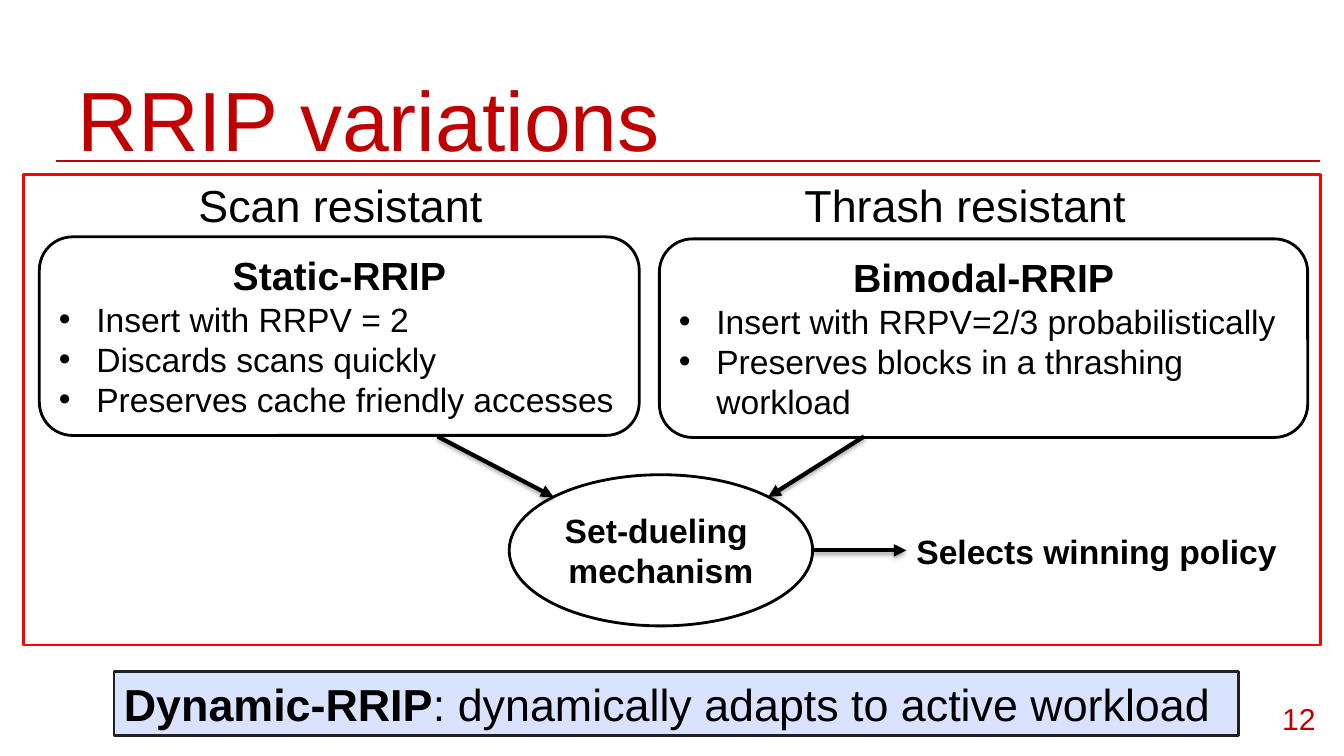
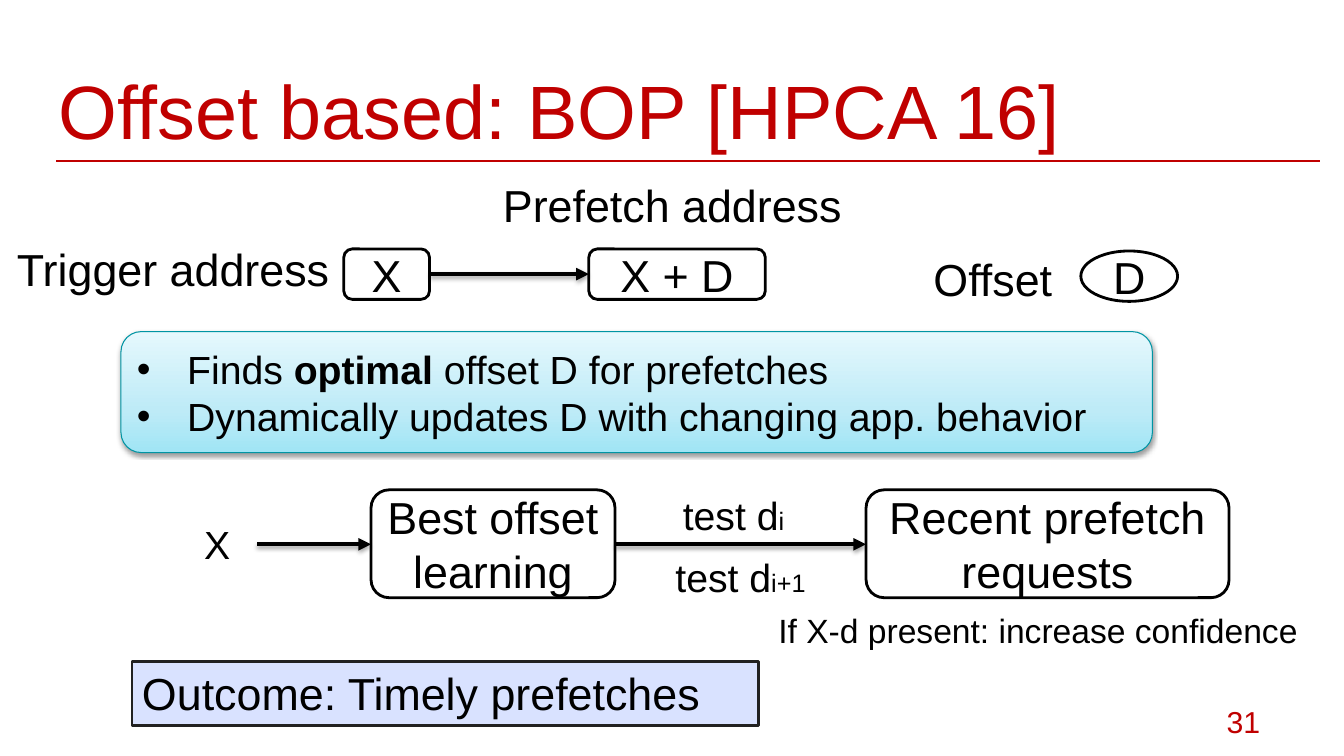
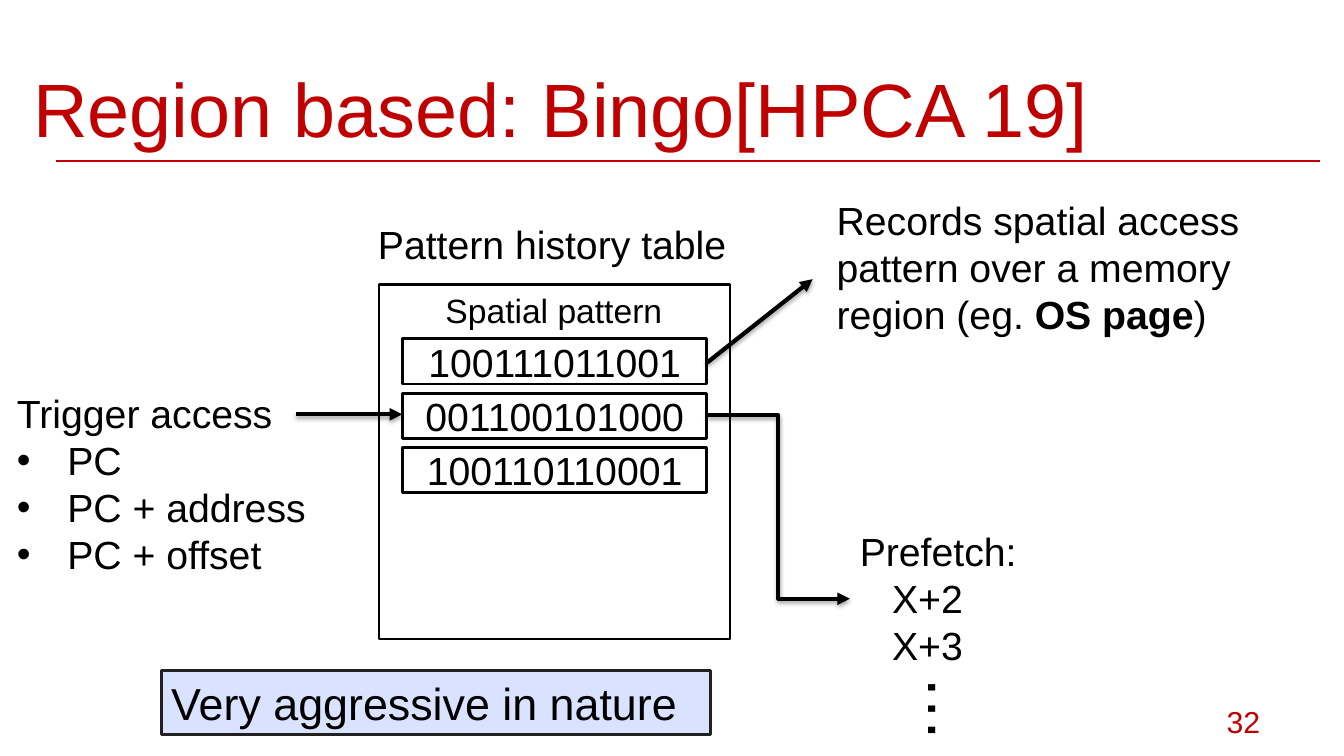
"""Build three slides on cache replacement and prefetching."""
from copy import deepcopy

from pptx import Presentation
from pptx import util as u
from pptx.dml.color import RGBColor
from pptx.enum import shapes, text
from pptx.oxml import ns
from pptx.oxml.xmlchemy import OxmlElement

RED = RGBColor(0xC0, 0x00, 0x00)
BRIGHT_RED = RGBColor(0xFF, 0x00, 0x00)
BLACK = RGBColor(0x00, 0x00, 0x00)
WHITE = RGBColor(0xFF, 0xFF, 0xFF)
CHARCOAL = RGBColor(0x21, 0x21, 0x21)
PALE_BLUE = RGBColor(0xD9, 0xE2, 0xFF)
TEAL = RGBColor(0x00, 0x94, 0xA3)
AQUA_STOPS = [
    (0, RGBColor(0xA0, 0xE5, 0xF5)),
    (0.35, RGBColor(0xBE, 0xEB, 0xF7)),
    (1, RGBColor(0xE5, 0xF8, 0xFD)),
]
FONT = "Arial"
BOLD = {"bold": True}
SMALL = {"size": u.Pt(18)}
CENTER, RIGHT = text.PP_ALIGN.CENTER, text.PP_ALIGN.RIGHT
TOP, MIDDLE = text.MSO_ANCHOR.TOP, text.MSO_ANCHOR.MIDDLE
RECTANGLE = shapes.MSO_SHAPE.RECTANGLE
ROUNDED = shapes.MSO_SHAPE.ROUNDED_RECTANGLE
ELLIPSE = shapes.MSO_SHAPE.OVAL
STRAIGHT, ELBOW = shapes.MSO_CONNECTOR.STRAIGHT, shapes.MSO_CONNECTOR.ELBOW
SIDES = ("left", "top", "right", "bottom")
WIDE_MARGINS = {f"margin_{side}": u.Inches(0.12) for side in SIDES}


def inches(values):
    """Turn numbers into lengths."""
    return [u.Inches(value) for value in values]


def add_child(parent, tag, **attributes):
    """Append an XML element with attributes."""
    child = OxmlElement(tag)
    for name, value in attributes.items():
        child.set(name, str(value))
    parent.append(child)
    return child


def add_shadow(effects, distance, opacity):
    """Put a soft downward shadow into an effect list."""
    shadow = add_child(effects, "a:outerShdw", blurRad=40000, dist=distance,
                       dir=5400000, rotWithShape=0)
    color = add_child(shadow, "a:srgbClr", val=BLACK)
    add_child(color, "a:alpha", val=opacity * 1000)


def entry(*runs, **layout):
    """Describe a paragraph: its runs, and its bullet, margin or alignment."""
    return runs, layout


def bullets(indent, *items):
    """Describe one bulleted paragraph for each item."""
    return [entry(*item, bullet=indent) if isinstance(item, tuple)
            else entry(item, bullet=indent) for item in items]


def format_paragraph(paragraph, bullet=0, margin=0, align=None):
    """Set the alignment, indent and bullet of a paragraph."""
    paragraph.alignment = align
    properties = paragraph._p.get_or_add_pPr()
    if bullet or margin:
        properties.set("marL", str(u.Inches(bullet or margin)))
    if bullet:
        properties.set("indent", str(-u.Inches(bullet)))
        add_child(add_child(properties, "a:buClr"), "a:srgbClr", val=BLACK)
        add_child(properties, "a:buFont", typeface=FONT)
        add_child(properties, "a:buChar", char="•")


def write(shape, paragraphs, size, color=BLACK, align=None, anchor=TOP, wrap=True, **margins):
    """Fill a shape with formatted paragraphs."""
    frame = shape.text_frame
    settings = {"word_wrap": wrap, "vertical_anchor": anchor, **margins}
    for name, value in settings.items():
        setattr(frame, name, value)
    if isinstance(paragraphs, str):
        paragraphs = [entry(paragraphs)]
    for index, (runs, layout) in enumerate(paragraphs):
        paragraph = frame.add_paragraph() if index else frame.paragraphs[0]
        format_paragraph(paragraph, **{"align": align, **layout})
        for item in runs:
            words, changes = (item, {}) if isinstance(item, str) else item
            run = paragraph.add_run()
            run.text = words
            style = {"name": FONT, "size": u.Pt(size), "bold": False, **changes}
            for name, value in style.items():
                setattr(run.font, name, value)
            run.font.color.rgb = color


def add_label(slide, place, paragraphs, size=28, **options):
    """Add a text box."""
    label = slide.shapes.add_textbox(*inches(place))
    write(label, paragraphs, size, **options)
    return label


def add_box(slide, kind, place, paragraphs=None, size=32, fill=WHITE, line=BLACK,
            width=2, align=CENTER, anchor=MIDDLE):
    """Add an outlined shape, with text if given."""
    box = slide.shapes.add_shape(kind, *inches(place))
    box.shadow.inherit = False
    if fill is None:
        box.fill.background()
    else:
        box.fill.solid()
        box.fill.fore_color.rgb = fill
    box.line.color.rgb = line
    box.line.width = u.Pt(width)
    if paragraphs:
        write(box, paragraphs, size, align=align, anchor=anchor)
    return box


def add_glossy_box(slide, place, paragraphs):
    """Add a rounded box with an aqua gradient and a shadow."""
    box = add_box(slide, ROUNDED, place, paragraphs, 28, line=TEAL, width=0.75, align=None)
    box.fill.gradient()
    box.fill.gradient_angle = 90
    properties = box._element.spPr
    stop_list = properties.find(".//" + ns.qn("a:gsLst"))
    stop_list.append(deepcopy(stop_list[-1]))
    for stop, (position, color) in zip(box.fill.gradient_stops, AQUA_STOPS):
        stop.position = position
        stop.color.rgb = color
    add_shadow(properties.find(ns.qn("a:effectLst")), 20000, 38)


def add_line(slide, start, end, color, width, kind=STRAIGHT):
    """Add a plain line and return it with its empty effect list."""
    line = slide.shapes.add_connector(kind, *inches(start + end))
    line.line.color.rgb = color
    line.line.width = u.Pt(width)
    return line, add_child(line._element.spPr, "a:effectLst")


def add_arrow(slide, start, end, kind=STRAIGHT):
    """Add a shadowed arrow."""
    arrow, effects = add_line(slide, start, end, BLACK, 3, kind)
    add_child(arrow.line._get_or_add_ln(), "a:tailEnd", type="triangle")
    add_shadow(effects, 23000, 35)


def add_takeaway(slide, place, paragraphs):
    """Add the pale blue conclusion bar."""
    add_box(slide, RECTANGLE, (*place, 0.64), paragraphs, fill=PALE_BLUE, line=CHARCOAL,
            align=None, anchor=TOP)


def add_slide(presentation, title, place, number, size=54, number_at=(11.77, 6.87)):
    """Add a slide with its rule, title and page number."""
    slide = presentation.slides.add_slide(presentation.slide_layouts[6])
    add_line(slide, (0.56, 1.6), (13.09, 1.6), RED, 1.5)
    add_label(slide, (*place, 0.84), title, size, color=RED, **WIDE_MARGINS)
    add_label(slide, (*number_at, 0.85, 0.57), number, 21.6, color=RED, align=RIGHT,
              anchor=MIDDLE, **WIDE_MARGINS)
    return slide


def build_rrip(presentation):
    """Build the slide on RRIP variations."""
    slide = add_slide(presentation, "RRIP variations", (0.65, 0.55, 12.68), "12", 60,
                      (12.32, 6.84))
    policies = [
        ((0.39, 2.35, 5.95, 1.97), "Static-RRIP",
         ["Insert with RRPV = 2", "Discards scans quickly",
          "Preserves cache friendly accesses"]),
        ((6.54, 2.37, 6.43, 1.97), "Bimodal-RRIP",
         ["Insert with RRPV=2/3 probabilistically",
          "Preserves blocks in a thrashing workload"]),
    ]
    for place, name, points in policies:
        heading = entry((name, {"bold": True, "size": u.Pt(28)}), align=CENTER)
        add_box(slide, ROUNDED, place, [heading, *bullets(0.37, *points)], 24,
                align=None, anchor=TOP)
    add_label(slide, (1.87, 1.71, 3.18, 0.64), "Scan resistant", 32)
    add_label(slide, (7.88, 1.71, 3.85, 0.64), "Thrash resistant", 32)
    add_box(slide, ELLIPSE, (5.05, 4.71, 3.01, 1.5),
            [entry(("Set-dueling ", BOLD)), entry(("mechanism", BOLD))], 24)
    add_arrow(slide, (8.57, 4.33), (7.62, 4.93))
    add_arrow(slide, (4.34, 4.33), (5.49, 4.93))
    add_arrow(slide, (8.06, 5.46), (8.99, 5.46))
    add_label(slide, (8.99, 5.22, 3.81, 0.5), [entry(("Selects winning policy", BOLD))], 24,
              wrap=False)
    add_box(slide, RECTANGLE, (0.23, 1.73, 12.87, 4.67), fill=None, line=BRIGHT_RED)
    add_takeaway(slide, (1.13, 6.66, 11.15),
                 [entry(("Dynamic-RRIP", BOLD), ": dynamically adapts to active workload")])


def build_offset(presentation):
    """Build the slide on offset based prefetching."""
    slide = add_slide(presentation, "Offset based: BOP [HPCA 16]", (0.46, 0.51, 12.31), "31")
    add_label(slide, (0.07, 2.35, 3.41, 0.64), "Trigger address", 32)
    add_label(slide, (4.89, 1.71, 3.65, 0.64), "Prefetch address", 32)
    add_label(slide, (9.16, 2.45, 1.58, 0.64), "Offset", 32)
    boxes = [
        (ROUNDED, (3.41, 2.47, 0.85, 0.5), "X"),
        (ROUNDED, (5.84, 2.47, 1.75, 0.5), "X + D"),
        (ELLIPSE, (10.72, 2.49, 0.96, 0.5), "D"),
        (ROUNDED, (3.68, 4.86, 2.42, 1.07), "Best offset learning"),
        (ROUNDED, (8.59, 4.86, 3.6, 1.07), "Recent prefetch requests"),
    ]
    for kind, place, words in boxes:
        add_box(slide, kind, place, words)
    for left, right, height in [(4.27, 5.84, 2.72), (2.55, 3.68, 5.4), (6.1, 8.59, 5.4)]:
        add_arrow(slide, (left, height), (right, height))
    add_glossy_box(slide, (1.2, 3.29, 10.23, 1.2), bullets(
        0.5, ("Finds ", ("optimal", BOLD), " offset D for prefetches"),
        "Dynamically updates D with changing app. behavior"))
    add_label(slide, (1.78, 5.11, 0.75, 0.57), "X", align=CENTER)
    for left, top, index in [(6.34, 4.83, "i"), (6.41, 5.44, "i+1")]:
        add_label(slide, (left, top, 1.87, 0.57), [entry("test d", (index, SMALL))],
                  align=CENTER)
    add_label(slide, (7.59, 6, 5.41, 0.5), "If X-d present: increase confidence", 24,
              align=CENTER)
    add_takeaway(slide, (1.31, 6.56, 6.21), "Outcome: Timely prefetches")


def build_region(presentation):
    """Build the slide on region based prefetching."""
    slide = add_slide(presentation, "Region based: Bingo[HPCA 19]", (0.21, 0.49, 13.29), "32")
    add_box(slide, RECTANGLE, (3.76, 2.82, 3.48, 3.52))
    for row, pattern in enumerate(["100111011001", "001100101000", "100110110001"]):
        add_box(slide, RECTANGLE, (3.99, 3.36 + row * 0.54, 3.02, 0.45), pattern, 28)
    add_label(slide, (4.32, 2.83, 2.92, 0.5), "Spatial pattern", 24)
    add_label(slide, (3.65, 2.14, 3.71, 0.57), "Pattern history table")
    add_arrow(slide, (7.01, 3.6), (8.06, 2.77))
    add_label(slide, (8.2, 1.9, 4.41, 1.51), [entry(
        "Records spatial access pattern over a memory region (eg. ", ("OS page", BOLD), ")")])
    add_arrow(slide, (2.94, 4.11), (3.99, 4.11))
    add_label(slide, (0.07, 3.81, 3.26, 1.99), [
        entry("Trigger access"), *bullets(0.5, "PC", "PC + address", "PC + offset")])
    add_arrow(slide, (7.01, 4.12), (8.43, 5.94), ELBOW)
    add_label(slide, (8.43, 5.18, 2.06, 1.51), [
        entry("Prefetch:"), entry("X+2", margin=0.32), entry("X+3", margin=0.32)])
    dots = add_label(slide, (9.19, 6.42, 0.55, 0.91), "…", 48)
    dots.rotation = 90
    add_takeaway(slide, (1.6, 6.65, 5.45), "Very aggressive in nature")


def main():
    """Build and save the presentation."""
    presentation = Presentation()
    presentation.slide_width = u.Inches(13.33)
    presentation.slide_height = u.Inches(7.5)
    build_rrip(presentation)
    build_offset(presentation)
    build_region(presentation)
    presentation.save("out.pptx")


if __name__ == "__main__":
    main()
